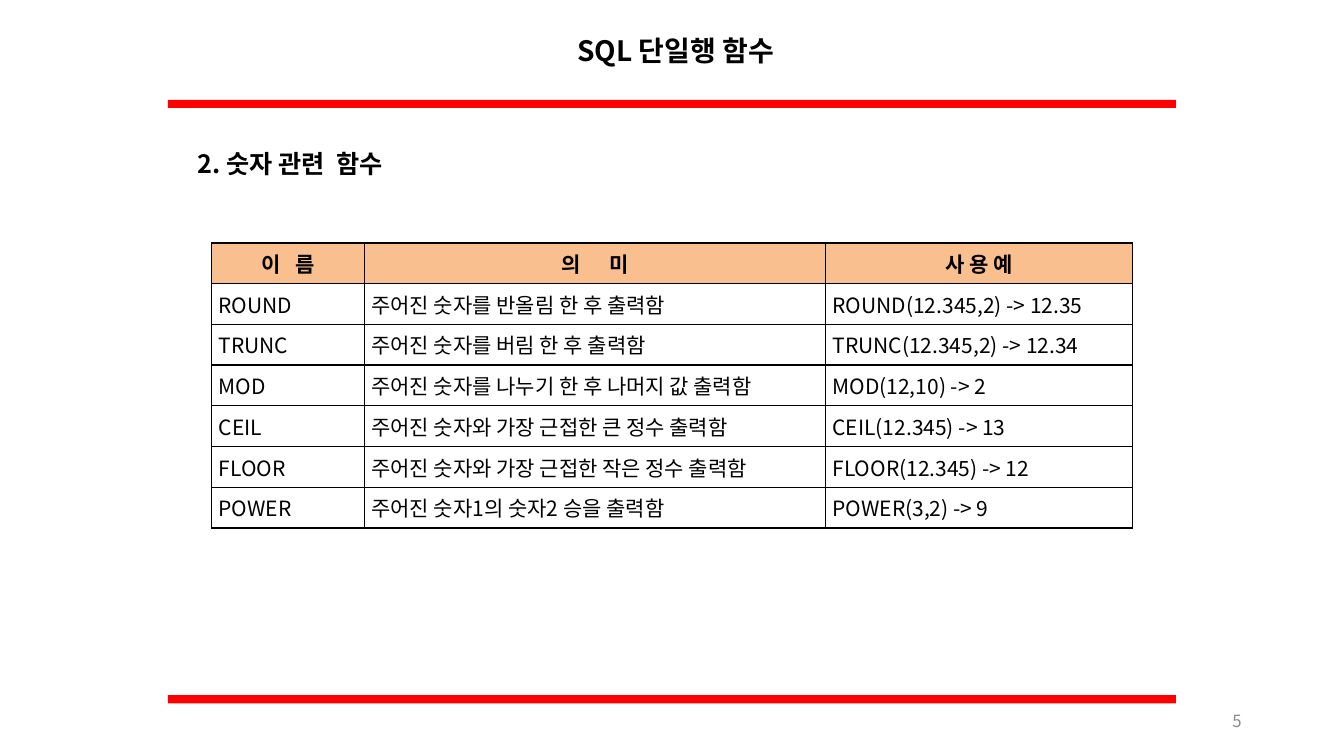
from lxml import etree
from pptx import Presentation
from pptx.dml.color import RGBColor
from pptx.enum.shapes import MSO_SHAPE
from pptx.enum.text import MSO_ANCHOR, MSO_AUTO_SIZE, PP_ALIGN
from pptx.oxml.ns import qn
from pptx.util import Pt

RECTANGLE = MSO_SHAPE.RECTANGLE
MIDDLE = MSO_ANCHOR.MIDDLE
NO_FIT = MSO_AUTO_SIZE.NONE
LEFT, CENTER, RIGHT, JUSTIFY = PP_ALIGN.LEFT, PP_ALIGN.CENTER, PP_ALIGN.RIGHT, PP_ALIGN.JUSTIFY
FONT = "Noto Sans CJK KR"
BLACK, RED, GREY, ORANGE = "000000", "FF0000", "8C8C8C", "FABF8F"


def color(value):
    return RGBColor.from_string(value)


def write(frame, text, size, align, bold=False, ink=BLACK, gap=0):
    para = frame.paragraphs[0]
    para.alignment = align
    pieces = text.rpartition(" ") if gap else [text]
    for piece in pieces:
        span = para.add_run()
        span.text = piece
        for name, value in {"name": FONT, "size": Pt(size), "bold": bold}.items():
            setattr(span.font, name, value)
        span.font.color.rgb = color(ink)
        properties = span._r.get_or_add_rPr()
        etree.SubElement(properties, qn("a:ea"), typeface=FONT)
        if piece == " ":
            properties.set("spc", str(round(gap * 100)))


deck = Presentation()
deck.slide_width, deck.slide_height = Pt(960), Pt(540)
page = deck.slides.add_slide(deck.slide_layouts[5])

for top in (71.3, 496.6):
    bar = page.shapes.add_shape(RECTANGLE, Pt(120), Pt(top), Pt(720), Pt(5.8))
    bar.shadow.inherit = False
    bar.fill.solid()
    bar.fill.fore_color.rgb = color(RED)
    bar.line.fill.background()

title = page.shapes.title
title.left, title.top, title.width, title.height = Pt(242), Pt(0), Pt(481.5), Pt(71.3)
heading = page.shapes.add_textbox(Pt(134), Pt(88.5), Pt(414), Pt(57))
number = page.shapes.add_textbox(Pt(678), Pt(500.5), Pt(216), Pt(28.8))
for box, text, style in (
    (title, "SQL 단일행 함수", {"size": 20, "align": CENTER, "bold": True}),
    (heading, "2. 숫자 관련 함수", {"size": 18, "align": LEFT, "bold": True, "gap": 4}),
    (number, "5", {"size": 12, "align": RIGHT, "ink": GREY}),
):
    frame = box.text_frame
    for name, value in {"word_wrap": True, "auto_size": NO_FIT, "vertical_anchor": MIDDLE}.items():
        setattr(frame, name, value)
    write(frame, text, **style)

rows = [
    ("이 름", "의 미", "사 용 예"),
    ("ROUND", "주어진 숫자를 반올림 한 후 출력함", "ROUND(12.345,2) -> 12.35"),
    ("TRUNC", "주어진 숫자를 버림 한 후 출력함", "TRUNC(12.345,2) -> 12.34"),
    ("MOD", "주어진 숫자를 나누기 한 후 나머지 값 출력함", "MOD(12,10) -> 2"),
    ("CEIL", "주어진 숫자와 가장 근접한 큰 정수 출력함", "CEIL(12.345) -> 13"),
    ("FLOOR", "주어진 숫자와 가장 근접한 작은 정수 출력함", "FLOOR(12.345) -> 12"),
    ("POWER", "주어진 숫자1의 숫자2 승을 출력함", "POWER(3,2) -> 9"),
]
widths = [109, 329.5, 219.5]
header_gaps = [6.8, 17, 0]
row_height = 29.1
table = page.shapes.add_table(
    len(rows), len(widths), Pt(151.2), Pt(173.5), Pt(sum(widths)), Pt(row_height * len(rows))
).table
table.first_row = False
table.horz_banding = False
for column, width in zip(table.columns, widths):
    column.width = Pt(width)

cell_format = {
    "vertical_anchor": MIDDLE,
    "margin_left": Pt(5),
    "margin_right": Pt(5),
    "margin_top": 0,
    "margin_bottom": 0,
}
for row_index, texts in enumerate(rows):
    table.rows[row_index].height = Pt(row_height)
    for column_index, text in enumerate(texts):
        cell = table.cell(row_index, column_index)
        for name, value in cell_format.items():
            setattr(cell, name, value)
        for side in ("a:lnL", "a:lnR", "a:lnT", "a:lnB"):
            border = etree.SubElement(cell._tc.get_or_add_tcPr(), qn(side), w=str(Pt(1)))
            fill = etree.SubElement(border, qn("a:solidFill"))
            etree.SubElement(fill, qn("a:srgbClr"), val=BLACK)
        if row_index == 0:
            cell.fill.solid()
            cell.fill.fore_color.rgb = color(ORANGE)
            write(cell.text_frame, text, 15, CENTER, bold=True, gap=header_gaps[column_index])
        else:
            cell.fill.background()
            write(cell.text_frame, text, 15, JUSTIFY)

deck.save("out.pptx")
